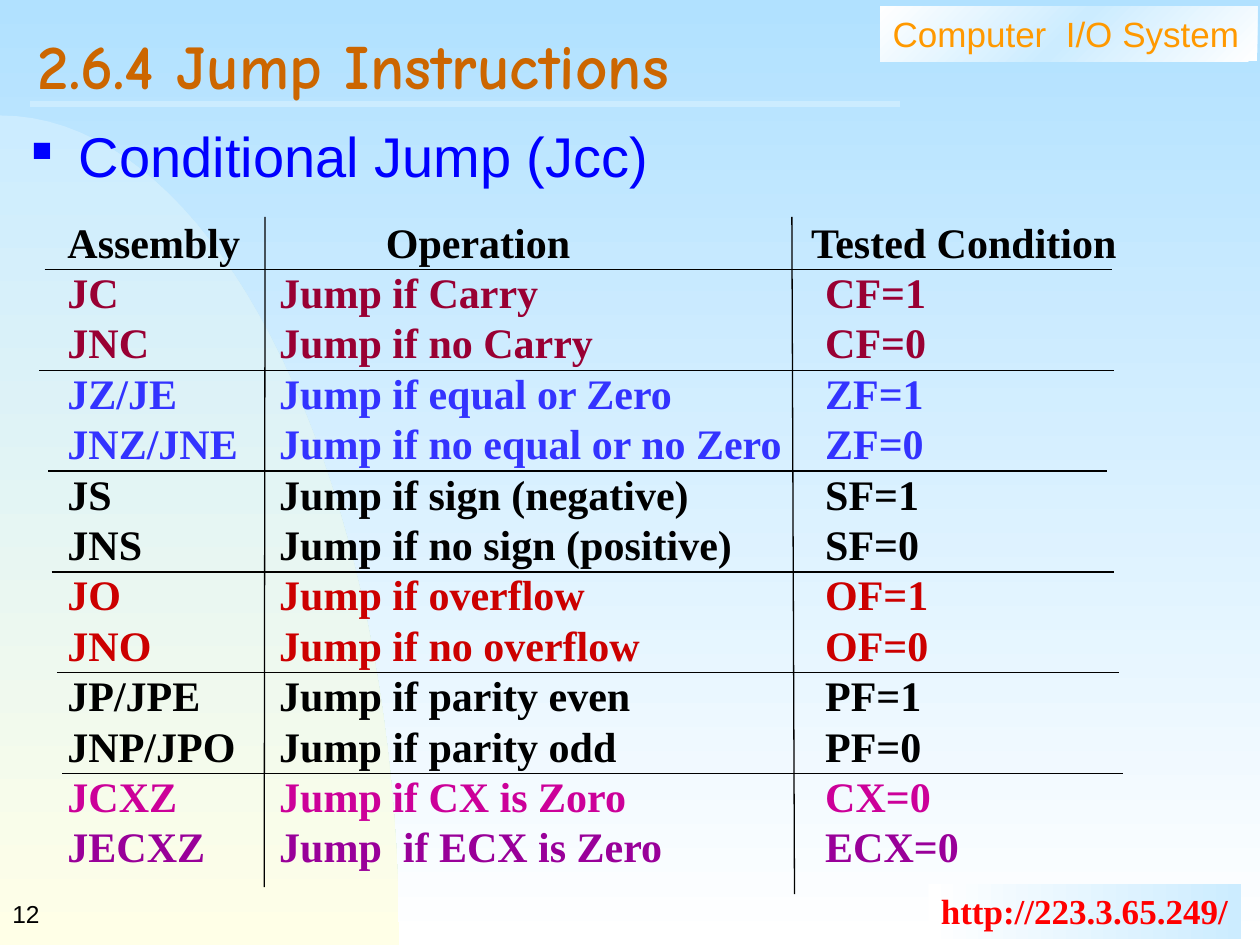
from copy import deepcopy

from pptx import Presentation
from pptx.dml.color import RGBColor
from pptx.enum.shapes import MSO_CONNECTOR as CONNECTOR, MSO_SHAPE as SHAPE
from pptx.enum.text import MSO_ANCHOR as ANCHOR
from pptx.oxml.ns import qn
from pptx.util import Pt
from lxml.etree import SubElement

COLORS = {
    "sky": "B1E1FF", "pale": "CCECFF", "white": "FFFFFF", "cream": "FFFFE7",
    "orange": "FF9900", "brown": "CC6600", "blue": "0000FF", "red": "FF0000",
    "black": "000000", "maroon": "990033", "indigo": "3333FF",
    "crimson": "CC0000", "magenta": "CC0099", "purple": "990099",
}
HEADINGS = ("Assembly", "Operation", "Tested Condition")
JUMPS = [
    ("JC", "Jump if Carry", "CF=1", "maroon"),
    ("JNC", "Jump if no Carry", "CF=0", "maroon"),
    ("JZ/JE", "Jump if equal or Zero", "ZF=1", "indigo"),
    ("JNZ/JNE", "Jump if no equal or no Zero", "ZF=0", "indigo"),
    ("JS", "Jump if sign (negative)", "SF=1", "black"),
    ("JNS", "Jump if no sign (positive)", "SF=0", "black"),
    ("JO", "Jump if overflow", "OF=1", "crimson"),
    ("JNO", "Jump if no overflow", "OF=0", "crimson"),
    ("JP/JPE", "Jump if parity even", "PF=1", "black"),
    ("JNP/JPO", "Jump if parity odd", "PF=0", "black"),
    ("JCXZ", "Jump if CX is Zoro", "CX=0", "magenta"),
    ("JECXZ", "Jump  if ECX is Zero", "ECX=0", "purple"),
]
ROW_HEIGHT = 28.8
HEADING_TABS = (182, 425)
JUMP_TABS = (121, 433)
# Left and right end of each rule, measured from the left of the table
RULE_SPANS = [(-6, 604), (-9, 605), (-4, 601), (-2, 605), (1, 608), (4, 610)]


def rgb(name):
    return RGBColor.from_string(COLORS[name])


def set_gradient(fill, holder, names, angle):
    """Spread the named colours evenly; holder is the XML element around the fill."""
    fill.gradient()
    fill.gradient_angle = angle
    stop_list = holder.find(".//" + qn("a:gsLst"))
    for _ in names[2:]:
        stop_list.append(deepcopy(stop_list[0]))
    for index, (stop, name) in enumerate(zip(fill.gradient_stops, names)):
        stop.color.rgb = rgb(name)
        stop.position = index / (len(names) - 1)


def add_span(para, text, font, size, color, bold=False):
    span = para.add_run()
    span.text = text
    span.font.name = font
    span.font.size = Pt(size)
    span.font.bold = bold
    span.font.color.rgb = rgb(color)


def add_box(page, left, top, width, height, anchor=ANCHOR.TOP):
    box = page.shapes.add_textbox(Pt(left), Pt(top), Pt(width), Pt(height))
    box.text_frame.word_wrap = True
    box.text_frame.vertical_anchor = anchor
    return box


def add_line(page, x1, y1, x2, y2, color="black", width=0.75):
    line = page.shapes.add_connector(
        CONNECTOR.STRAIGHT, Pt(x1), Pt(y1), Pt(x2), Pt(y2))
    line.line.color.rgb = rgb(color)
    line.line.width = Pt(width)
    SubElement(line._element.spPr, qn("a:effectLst"))


def add_backdrop(page, left, top, width, height):
    """Sky gradient with a quarter-oval hill in the lower left corner."""
    set_gradient(page.background.fill, page.background._cSld, ("sky", "white"), 270)
    curve = []
    for step in range(1, 41):
        t = step / 40
        x = 3 * (1 - t) ** 2 * t * 0.55 + 3 * (1 - t) * t ** 2 + t ** 3
        y = 3 * (1 - t) * t ** 2 * 0.45 + t ** 3
        curve.append((Pt(left + width * x), Pt(top + height * y)))
    builder = page.shapes.build_freeform(Pt(left), Pt(top))
    builder.add_line_segments(curve + [(Pt(left), Pt(top + height))], close=True)
    hill = builder.convert_to_shape()
    set_gradient(hill.fill, hill._element.spPr, ("pale", "cream"), 270)
    hill.line.fill.background()
    hill.shadow.inherit = False


def add_label(page, left, top, width, height, text, font, color, bold, names, angle):
    label = page.shapes.add_shape(
        SHAPE.RECTANGLE, Pt(left), Pt(top), Pt(width), Pt(height))
    set_gradient(label.fill, label._element.spPr, names, angle)
    label.line.fill.background()
    label.shadow.inherit = False
    frame = label.text_frame
    frame.word_wrap = False
    frame.vertical_anchor = ANCHOR.TOP
    para = frame.paragraphs[0]
    para.alignment = 1
    add_span(para, text, font, 20, color, bold)


def add_title(page, left, top, width, height):
    add_line(page, left + 2.5, top + 45, left + 500, top + 45, "pale", 3)
    box = add_box(page, left, top, width, height, ANCHOR.MIDDLE)
    para = box.text_frame.paragraphs[0]
    para.line_spacing = 0.7
    add_span(para, "2.6.4 Jump Instructions", "Comic Neue", 36, "brown", True)


def add_topic(page, left, top, width, height):
    box = add_box(page, left, top, width, height)
    para = box.text_frame.paragraphs[0]
    props = para._p.get_or_add_pPr()
    props.set("marL", str(Pt(27)))
    props.set("indent", str(Pt(-27)))
    bullet_color = SubElement(props, qn("a:buClr"))
    SubElement(bullet_color, qn("a:srgbClr"), val=COLORS["blue"])
    SubElement(props, qn("a:buSzPct"), val="50000")
    SubElement(props, qn("a:buChar"), char="■")
    add_span(para, "Conditional Jump (Jcc)", "Arial", 32, "blue")


def add_row(para, cells, tabs, color):
    tab_list = SubElement(para._p.get_or_add_pPr(), qn("a:tabLst"))
    for tab in tabs:
        SubElement(tab_list, qn("a:tab"), pos=str(Pt(tab)), algn="l")
    para.line_spacing = Pt(ROW_HEIGHT)
    add_span(para, "\t".join(cells), "Times New Roman", 24, color, True)


def add_jump_list(page, left, top, width, height):
    """Tabbed rows, ruled off after the heading and after each pair of jumps."""
    frame = add_box(page, left, top, width, height).text_frame
    add_row(frame.paragraphs[0], HEADINGS, HEADING_TABS, "black")
    for *cells, color in JUMPS:
        add_row(frame.add_paragraph(), cells, JUMP_TABS, color)
    for index, (start, end) in enumerate(RULE_SPANS):
        y = top + 34 + index * 2 * ROW_HEIGHT
        add_line(page, left + start, y, left + end, y)
    add_line(page, left + 120, top + 4, left + 119.5, top + 387)
    add_line(page, left + 421, top + 4, left + 422.5, top + 391)


def add_page_number(page, left, top, width, height):
    box = add_box(page, left, top, width, height, ANCHOR.MIDDLE)
    add_span(box.text_frame.paragraphs[0], "12", "Arial", 14, "black")


def main():
    deck = Presentation()
    deck.slide_width, deck.slide_height = Pt(720), Pt(540)
    page = deck.slides.add_slide(deck.slide_layouts[6])
    add_backdrop(page, 0, 66, 228, 474)
    add_label(page, 503, 3.5, 215.5, 31.5, "Computer  I/O System", "Arial",
              "orange", False, ("white", "pale", "white"), 315)
    add_label(page, 530.5, 505, 178.5, 31.5, "http://223.3.65.249/",
              "Times New Roman", "red", True, ("white", "pale"), 0)
    add_page_number(page, 0, 504, 150, 36)
    add_title(page, 14.5, 14.5, 687.5, 55.5)
    add_topic(page, 11, 66, 608, 432)
    add_jump_list(page, 31.5, 120, 639.5, 381.5)
    deck.save("out.pptx")


if __name__ == "__main__":
    main()
